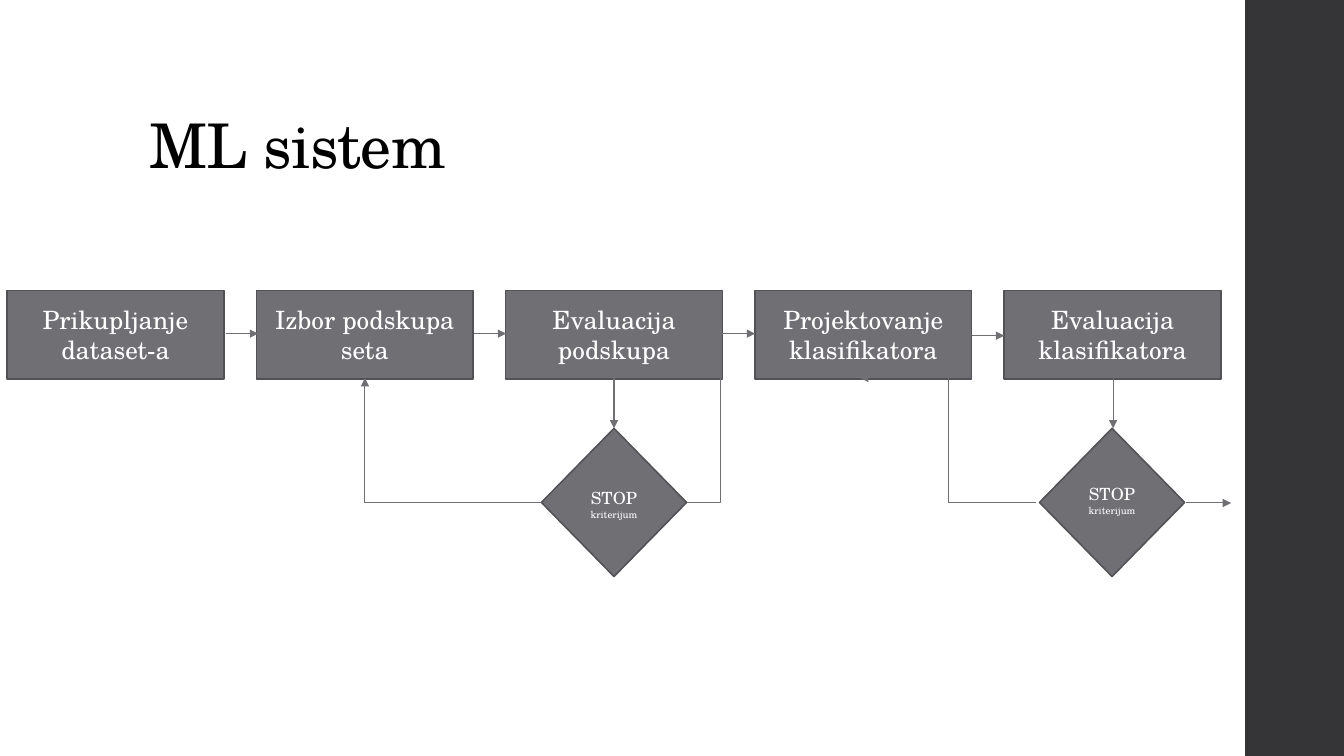
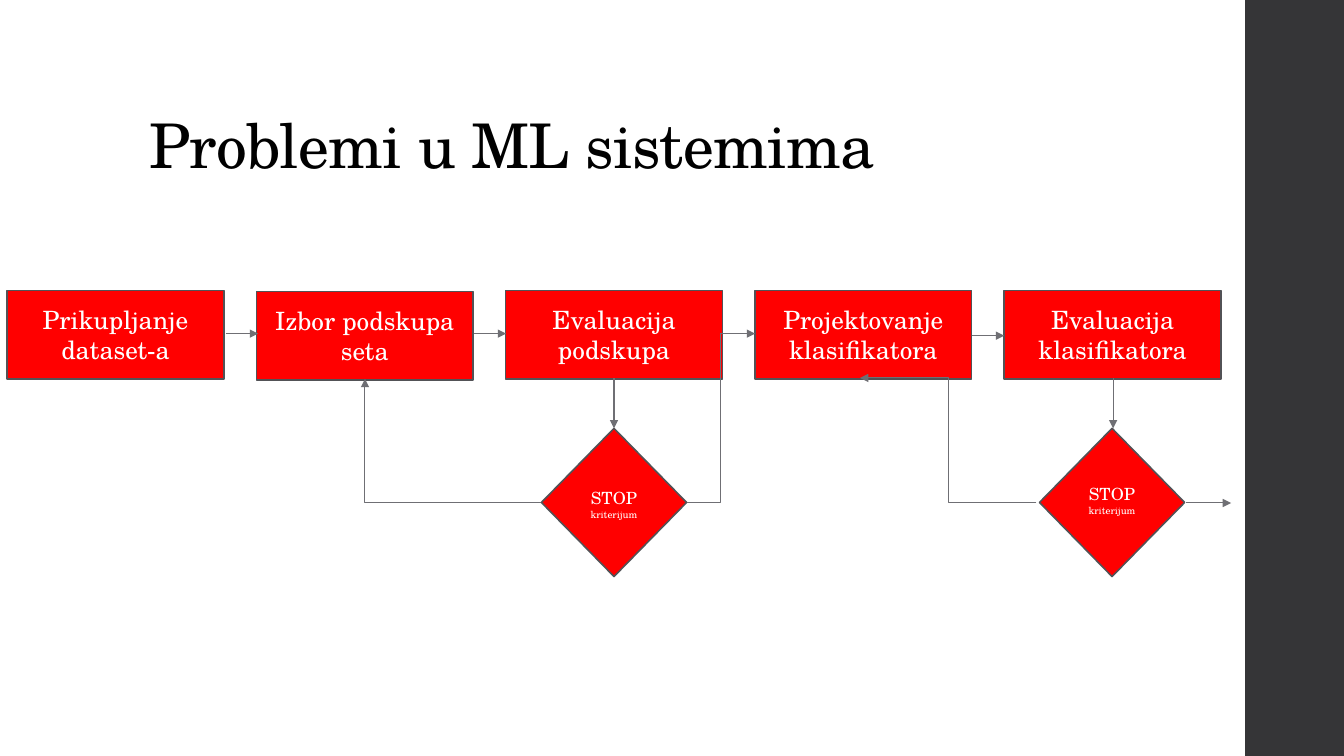
import pptx
import pptx.util
import pptx.dml.color
import pptx.enum.shapes
import pptx.enum.text
import pptx.oxml
import pptx.oxml.ns
import lxml.etree

Inches = pptx.util.Inches
Pt = pptx.util.Pt
qn = pptx.oxml.ns.qn
SHAPE = pptx.enum.shapes.MSO_SHAPE
CONNECTOR = pptx.enum.shapes.MSO_CONNECTOR
ALIGN = pptx.enum.text.PP_ALIGN
ANCHOR = pptx.enum.text.MSO_ANCHOR

FONT = "TeX Gyre Schola"
COLORS = {
    "title": "000000",
    "text": "FFFFFF",
    "sidebar": "353537",
    "step": "6F6F74",
    "problem": "FF0000",
    "outline": "525256",
    "arrow": "6F6F74",
}

# Flow layout, in inches
STEPS = [
    "Prikupljanje dataset-a",
    "Izbor podskupa seta",
    "Evaluacija podskupa",
    "Projektovanje klasifikatora",
    "Evaluacija klasifikatora",
]
STEP_LEFT, STEP_TOP, STEP_WIDTH, STEP_HEIGHT = 0.07, 2.88, 2.15, 0.88
STEP_PITCH = (9.96 - STEP_LEFT) / (len(STEPS) - 1)
STEP_BOTTOM = 3.75
STOP_TOP, STOP_WIDTH, STOP_HEIGHT = 4.25, 1.44, 1.47
STOP_MIDDLE = 4.99


def color(name):
    return pptx.dml.color.RGBColor.from_string(COLORS[name])


def write(para, text, size=18, ink="text", align=ALIGN.CENTER, spacing=None, tracking=None):
    """Add a span of text to a paragraph."""
    para.alignment = align
    if spacing:
        para.line_spacing = spacing
    span = para.add_run()
    span.text = text
    span.font.name = FONT
    span.font.size = Pt(size)
    span.font.color.rgb = color(ink)
    if tracking is not None:
        span.font._element.set("spc", str(round(tracking * 100)))


class FlowDeck:
    def __init__(self):
        self.deck = pptx.Presentation()
        self.deck.slide_width = Inches(13.33)
        self.deck.slide_height = Inches(7.5)
        self.layout = self.deck.slide_layouts.get_by_name("Title Only")
        self.page = None

    def add_page(self, title):
        self.page = self.deck.slides.add_slide(self.layout)
        if len(self.deck.slides) == 1:
            self.add_sidebar()
        box = self.page.shapes.title
        box.left, box.top = Inches(1.38), Inches(0.4)
        box.width, box.height = Inches(10.6), Inches(1.45)
        frame = box.text_frame
        frame.vertical_anchor = ANCHOR.BOTTOM
        write(frame.paragraphs[0], title, size=44, ink="title",
              align=ALIGN.LEFT, spacing=0.9, tracking=-0.5)

    def add_sidebar(self):
        """Place the dark band on the layout, behind all its placeholders."""
        band = self.add_shape(SHAPE.RECTANGLE, 12.35, 0, 0.98, 7.5, "sidebar", outline=None)
        self.layout.shapes.element.insert(2, band.element)

    def add_shape(self, kind, left, top, width, height, fill, outline="outline"):
        shape = self.page.shapes.add_shape(
            kind, Inches(left), Inches(top), Inches(width), Inches(height))
        shape.shadow.inherit = False
        shape.fill.solid()
        shape.fill.fore_color.rgb = color(fill)
        if outline:
            shape.line.color.rgb = color(outline)
            shape.line.width = Pt(1.1)
        else:
            shape.line.fill.background()
        return shape

    def add_step(self, text, left, top, fill):
        box = self.add_shape(SHAPE.RECTANGLE, left, top, STEP_WIDTH, STEP_HEIGHT, fill)
        write(box.text_frame.paragraphs[0], text)

    def add_stop(self, left, fill, gap_size, bottom_inset=0.05):
        box = self.add_shape(SHAPE.DIAMOND, left, STOP_TOP, STOP_WIDTH, STOP_HEIGHT, fill)
        box.text_frame.margin_bottom = Inches(bottom_inset)
        for text, size in (("STOP", 12), (" ", gap_size), ("kriterijum", 7)):
            write(box.text_frame.paragraphs[0], text, size=size)

    def add_arrow(self, start, end, bend=None):
        """Draw a straight arrow, or an elbow when a bend preset is named."""
        kind = CONNECTOR.ELBOW if bend else CONNECTOR.STRAIGHT
        arrow = self.page.shapes.add_connector(
            kind, *(Inches(value) for value in (*start, *end)))
        arrow.line.color.rgb = color("arrow")
        arrow.line.width = Pt(0.75)
        properties = arrow.element.spPr
        if bend:
            properties.find(qn("a:prstGeom")).set("prst", bend)
        lxml.etree.SubElement(properties.find(qn("a:ln")), qn("a:tailEnd"), type="triangle")
        lxml.etree.SubElement(properties, qn("a:effectLst"))

    def add_flow(self, fill, selection_top=STEP_TOP):
        # Steps
        for index, text in enumerate(STEPS):
            top = selection_top if index == 1 else STEP_TOP
            self.add_step(text, STEP_LEFT + index * STEP_PITCH, top, fill)

        # Stop criteria
        self.add_stop(5.37, fill, gap_size=14)
        self.add_stop(10.31, fill, gap_size=16, bottom_inset=0.15)

        # Arrows between steps, and out of the last criterion
        for left, level in ((2.24, 3.31), (4.7, 3.31), (9.64, 3.33)):
            self.add_arrow((left, level), (left + 0.32, level))
        self.add_arrow((11.76, STOP_MIDDLE), (12.21, STOP_MIDDLE))

        # Arrows down to the criteria
        for center in (6.09, 11.04):
            self.add_arrow((center, STEP_BOTTOM), (center, STOP_TOP))

        # Elbows back to earlier steps and on to the classifier
        selection_bottom = STEP_BOTTOM + selection_top - STEP_TOP
        self.add_arrow((5.37, STOP_MIDDLE), (3.62, selection_bottom), bend="bentConnector2")
        self.add_arrow((6.81, STOP_MIDDLE), (7.49, 3.31), bend="bentConnector3")
        self.add_arrow((10.28, STOP_MIDDLE), (8.53, STEP_BOTTOM), bend="bentConnector3")


def main():
    flow = FlowDeck()
    flow.add_page("ML sistem")
    flow.add_flow("step")
    flow.add_page("Problemi u ML sistemima")
    flow.add_flow("problem", selection_top=2.89)
    flow.deck.save("out.pptx")


if __name__ == "__main__":
    main()
